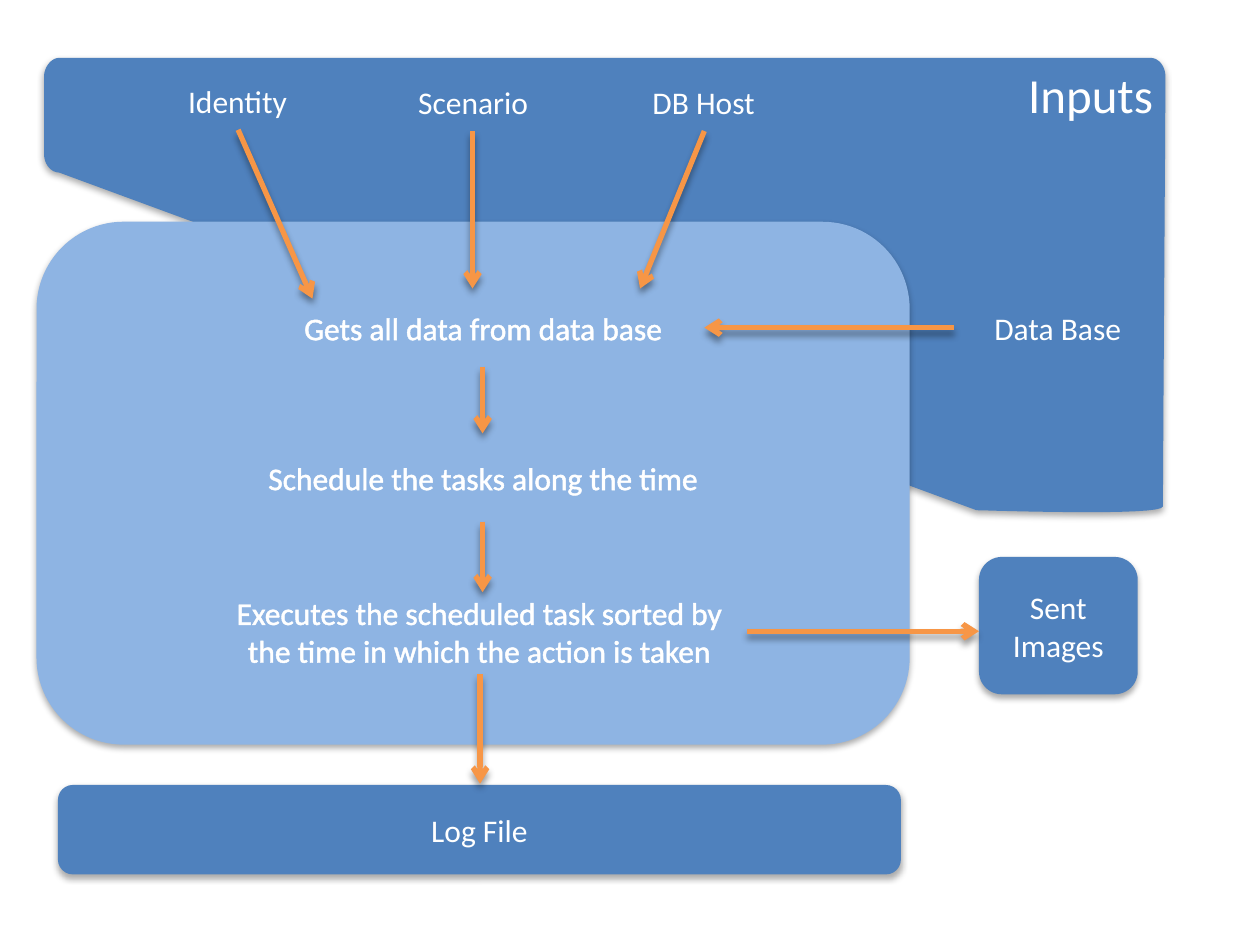
from dataclasses import dataclass
from typing import Optional

from lxml.etree import SubElement
from pptx import Presentation
from pptx.dml.color import RGBColor
from pptx.enum.shapes import MSO_CONNECTOR, MSO_SHAPE
from pptx.enum.text import MSO_ANCHOR, PP_ALIGN
from pptx.oxml import parse_xml
from pptx.oxml.ns import nsdecls, qn
from pptx.util import Inches, Pt


@dataclass(frozen=True)
class Theme:
    font: str = "Calibri"
    title_size: int = 28
    label_size: int = 18
    line_width: int = 3
    blue: RGBColor = RGBColor(0x4F, 0x81, 0xBD)
    light_blue: RGBColor = RGBColor(0x8E, 0xB4, 0xE3)
    orange: RGBColor = RGBColor(0xF7, 0x96, 0x46)
    white: RGBColor = RGBColor(0xFF, 0xFF, 0xFF)


@dataclass(frozen=True)
class Shadow:
    blur: float
    distance: float
    opacity: int
    direction: int = 90


@dataclass(frozen=True)
class Box:
    left: float
    top: float
    width: float
    height: float
    text: str = ""
    fill: Optional[RGBColor] = None
    shadow: Optional[Shadow] = None
    glowing_text: bool = False


@dataclass(frozen=True)
class Arrow:
    start: tuple[float, float]
    end: tuple[float, float]


THEME = Theme()
BOX_SHADOW = Shadow(3.5, 2.2, 32)
ARROW_SHADOW = Shadow(4, 3, 40)
TEXT_SHADOW = Shadow(5, 3, 70, 60)


def effect_list(shadow: Shadow):
    return parse_xml(
        f'<a:effectLst {nsdecls("a")}>'
        f'<a:outerShdw blurRad="{Pt(shadow.blur)}" dist="{Pt(shadow.distance)}" '
        f'dir="{shadow.direction * 60000}" rotWithShape="0">'
        f'<a:srgbClr val="000000"><a:alpha val="{shadow.opacity * 1000}"/></a:srgbClr>'
        '</a:outerShdw></a:effectLst>'
    )


def set_shadow(shape, shadow: Optional[Shadow]) -> None:
    shape.shadow.inherit = False
    if shadow:
        properties = shape.element.spPr
        properties.remove(properties.find(qn("a:effectLst")))
        properties.append(effect_list(shadow))


def set_text(shape, text: str, size: int, align: PP_ALIGN, anchor: MSO_ANCHOR):
    frame = shape.text_frame
    frame.text = text
    frame.word_wrap = True
    frame.vertical_anchor = anchor
    para = frame.paragraphs[0]
    para.alignment = align
    span = para.runs[0]
    span.font.size = Pt(size)
    span.font.color.rgb = THEME.white
    span.font.name = THEME.font
    return span


def outline_text(span) -> None:
    properties = span.font._element
    outline = parse_xml(
        f'<a:ln {nsdecls("a")} w="{Pt(1.45)}"><a:solidFill>'
        f'<a:srgbClr val="{THEME.white}"/></a:solidFill></a:ln>'
    )
    properties.insert(0, outline)
    properties.find(qn("a:solidFill")).addnext(effect_list(TEXT_SHADOW))


def draw_box(page, box: Box) -> None:
    shape = page.shapes.add_shape(
        MSO_SHAPE.ROUNDED_RECTANGLE,
        Inches(box.left), Inches(box.top), Inches(box.width), Inches(box.height),
    )
    if box.fill is None:
        shape.fill.background()
    else:
        shape.fill.solid()
        shape.fill.fore_color.rgb = box.fill
    shape.line.fill.background()
    set_shadow(shape, box.shadow)
    if box.text:
        span = set_text(shape, box.text, THEME.label_size, PP_ALIGN.CENTER, MSO_ANCHOR.MIDDLE)
        if box.glowing_text:
            outline_text(span)


def draw_arrow(page, arrow: Arrow) -> None:
    line = page.shapes.add_connector(
        MSO_CONNECTOR.STRAIGHT, *(Inches(value) for value in arrow.start + arrow.end)
    )
    line.line.color.rgb = THEME.orange
    line.line.width = Pt(THEME.line_width)
    SubElement(line.line._get_or_add_ln(), qn("a:tailEnd"), type="arrow")
    line.element.spPr.append(effect_list(ARROW_SHADOW))


def curve(*controls: tuple[float, float], steps: int = 16) -> list[tuple[float, float]]:
    points = []
    for step in range(steps + 1):
        t = step / steps
        weights = ((1 - t) ** 3, 3 * t * (1 - t) ** 2, 3 * t * t * (1 - t), t ** 3)
        points.append(tuple(
            sum(weight * control[axis] for weight, control in zip(weights, controls))
            for axis in (0, 1)
        ))
    return points


def draw_inputs_panel(page) -> None:
    points = [
        *curve((0.35, 0.61), (0.35, 0.53), (0.41, 0.46), (0.47, 0.46)),
        *curve((9.13, 0.46), (9.2, 0.46), (9.25, 0.53), (9.25, 0.61)),
        *curve((9.25, 0.61), (9.25, 0.81), (9.23, 3.81), (9.23, 4.02)),
        *curve((9.23, 4.02), (9.23, 4.1), (7.81, 4.05), (7.75, 4.05)),
        *curve((0.47, 1.37), (0.41, 1.37), (0.35, 1.31), (0.35, 1.22)),
    ]
    outline = [(Inches(x), Inches(y)) for x, y in points]
    builder = page.shapes.build_freeform(*outline[0])
    builder.add_line_segments(outline[1:], close=True)
    panel = builder.convert_to_shape()
    panel.fill.solid()
    panel.fill.fore_color.rgb = THEME.blue
    panel.line.fill.background()
    set_shadow(panel, BOX_SHADOW)
    set_text(panel, "Inputs", THEME.title_size, PP_ALIGN.RIGHT, MSO_ANCHOR.TOP)


def input_label(left: float, top: float, text: str) -> Box:
    return Box(left, top, 1.65, 0.46, text, THEME.blue)


def step_label(left: float, top: float, height: float, text: str) -> Box:
    return Box(left, top, 4.25, height, text, glowing_text=True)


PROCESS = Box(0.29, 1.76, 6.93, 4.15, fill=THEME.light_blue, shadow=BOX_SHADOW)
BOXES = [
    step_label(1.71, 2.29, 0.62, "Gets all data from data base"),
    step_label(1.71, 3.44, 0.7, "Schedule the tasks along the time"),
    step_label(1.68, 4.7, 0.62,
               "Executes the scheduled task sorted by the time in which the action is taken"),
    Box(7.77, 4.42, 1.26, 1.09, "Sent Images", THEME.blue, BOX_SHADOW),
    Box(0.46, 6.23, 6.69, 0.71, "Log File", THEME.blue, BOX_SHADOW),
    input_label(4.76, 0.58, "DB Host"),
    input_label(2.93, 0.58, "Scenario"),
    input_label(1.06, 0.57, "Identity"),
    input_label(7.57, 2.37, "Data Base"),
]
ARROWS = [
    Arrow((1.89, 1.03), (2.48, 2.37)),
    Arrow((3.75, 1.04), (3.75, 2.29)),
    Arrow((5.59, 1.04), (5.08, 2.29)),
    Arrow((3.83, 2.91), (3.83, 3.44)),
    Arrow((3.83, 4.14), (3.83, 4.7)),
    Arrow((3.81, 5.35), (3.81, 6.22)),
    Arrow((5.93, 5.01), (7.77, 5.01)),
    Arrow((7.57, 2.6), (5.59, 2.6)),
]

deck = Presentation()
deck.slide_width, deck.slide_height = Inches(10), Inches(7.5)
page = deck.slides.add_slide(deck.slide_layouts[6])
draw_inputs_panel(page)
for box in [PROCESS, *BOXES]:
    draw_box(page, box)
for arrow in ARROWS:
    draw_arrow(page, arrow)
deck.save("out.pptx")
